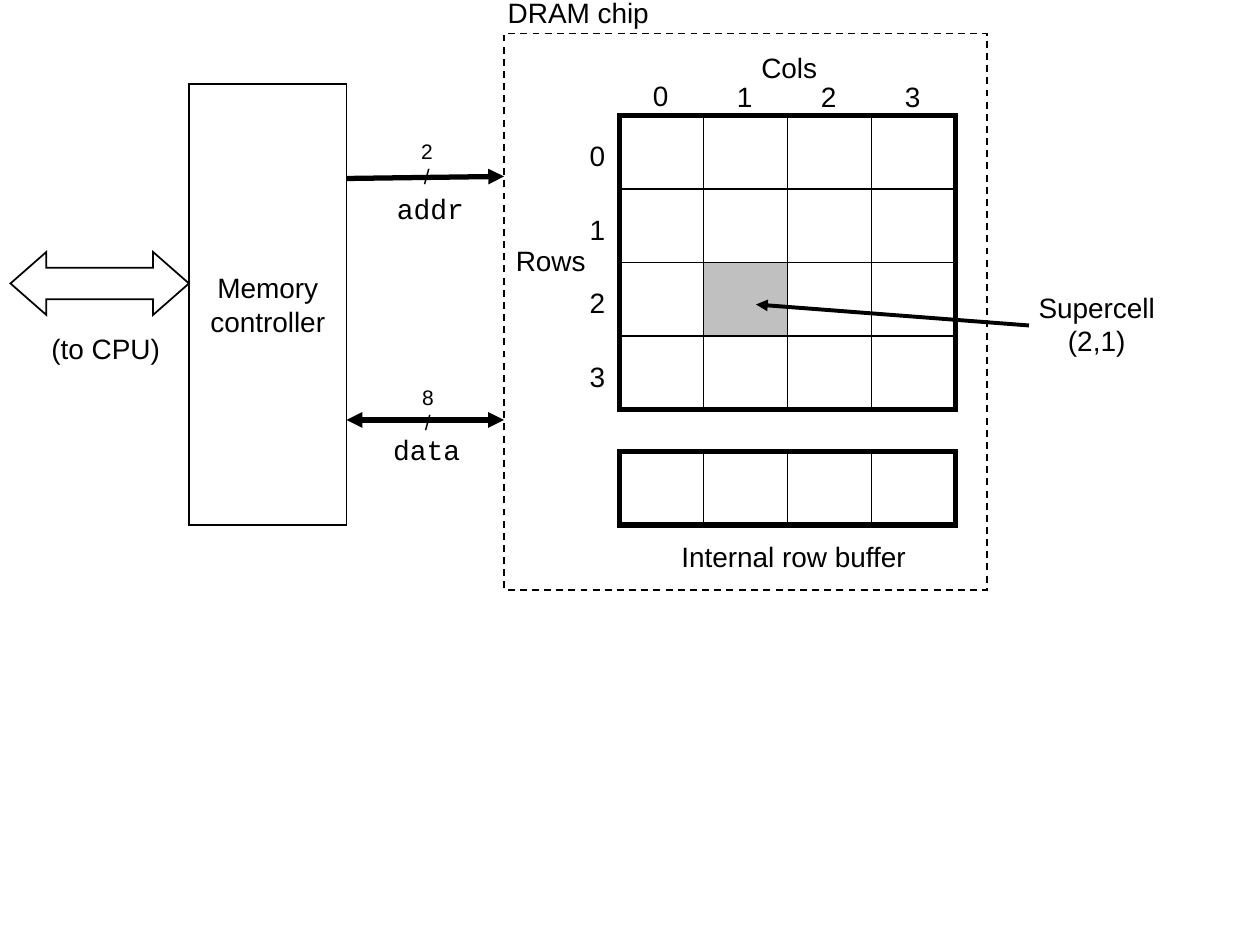
from lxml import etree
from pptx import Presentation
from pptx.dml.color import RGBColor
from pptx.enum import dml, shapes, text
from pptx.oxml.ns import qn
from pptx.util import Pt

# Content: lengths in points
BLACK, WHITE, GREY = "000000", "FFFFFF", "C0C0C0"
SANS, MONO = "Arial", "Courier New"
N = 4
CELL_W, CELL_H = 48, 42
GRID_X, GRID_Y, BUFFER_Y = 354, 66, 258
SUPERCELL = (2, 1)

# lines, (left, top, width, height), font, size
LABELS = [
    (["Cols"], (426, 25.2, 50, 26.6), SANS, 16),
    (["Rows"], (286.7, 135.4, 56, 26.6), SANS, 16),
    (["Internal row buffer"], (381, 304.6, 145, 26.6), SANS, 16),
    (["DRAM chip"], (282, -6, 97, 26.6), SANS, 16),
    (["addr"], (219, 105.8, 54, 26.6), MONO, 16),
    (["data"], (216.8, 243.4, 54, 26.6), MONO, 16),
    (["Supercell", "(2,1)"], (583.7, 162, 86, 46.1), SANS, 16),
    (["2", "/"], (233.4, 75.6, 21, 36), SANS, 12),
    (["8", "/"], (234, 216, 21, 36), SANS, 12),
    (["(to CPU)"], (20.9, 185.8, 79, 26.6), SANS, 16),
]
# from, to, width, arrowheads
ARROWS = [
    ((198, 102), (288, 100.8), 3, ["tailEnd"]),
    ((198, 240), (288, 240), 3, ["headEnd", "tailEnd"]),
    ((588, 186), (432, 174), 2.25, ["tailEnd"]),
]

prs = Presentation()
prs.slide_width, prs.slide_height = Pt(720), Pt(540)
s = prs.slides.add_slide(prs.slide_layouts[6])


def color(hex_code):
    return RGBColor.from_string(hex_code)


def write(sp, lines, font=SANS, size=16):
    tf = sp.text_frame
    tf.word_wrap = False
    tf.vertical_anchor = text.MSO_ANCHOR.MIDDLE
    for i, line in enumerate(lines):
        p = tf.paragraphs[0] if i == 0 else tf.add_paragraph()
        p.alignment = text.PP_ALIGN.CENTER
        r = p.add_run()
        r.text = line
        r.font.name, r.font.size = font, Pt(size)
        r.font.color.rgb = color(BLACK)


def label(lines, box, font=SANS, size=16):
    sp = s.shapes.add_textbox(*map(Pt, box))
    write(sp, lines, font, size)
    sp.text_frame.auto_size = text.MSO_AUTO_SIZE.SHAPE_TO_FIT_TEXT


def block(box, fill=WHITE, line=1, kind=shapes.MSO_SHAPE.RECTANGLE):
    sp = s.shapes.add_shape(kind, *map(Pt, box))
    sp.shadow.inherit = False
    if fill:
        sp.fill.solid()
        sp.fill.fore_color.rgb = color(fill)
    else:
        sp.fill.background()
    sp.line.color.rgb = color(BLACK)
    sp.line.width = Pt(line)
    # Square corners
    etree.SubElement(sp.line._get_or_add_ln(), qn("a:miter"), lim="800000")
    return sp


def arrow(start, end, width, heads):
    c = s.shapes.add_connector(shapes.MSO_CONNECTOR.STRAIGHT, *map(Pt, start + end))
    c.line.color.rgb = color(BLACK)
    c.line.width = Pt(width)
    for head in heads:
        etree.SubElement(c.line._get_or_add_ln(), qn("a:" + head), type="triangle")
    etree.SubElement(c._element.spPr, qn("a:effectLst"))


def cell_grid(top, rows, shaded=None):
    for row in range(rows):
        for col in range(N):
            box = (GRID_X + col * CELL_W, top + row * CELL_H, CELL_W, CELL_H)
            block(box, GREY if (row, col) == shaded else WHITE)
    block((GRID_X, top, N * CELL_W, rows * CELL_H), None, 3)


# Supercell array and row buffer
cell_grid(GRID_Y, N, SUPERCELL)
cell_grid(BUFFER_Y, 1)

# Column and row numbers
for i in range(N):
    label([str(i)], (366 + i * CELL_W, 41 if i == 0 else 42, 23, 26.6))
    label([str(i)], (329.8, 75.6 + i * CELL_H, 23, 26.6))

# Chip outline
chip = block((288, 19.2, 276, 318), None)
chip.line.dash_style = dml.MSO_LINE.DASH

# Memory controller and CPU bus
write(block((108, 48, 90, 252)), ["Memory", "controller"])
bus = block((6, 144, 102, 36), kind=shapes.MSO_SHAPE.LEFT_RIGHT_ARROW)
bus.adjustments[0], bus.adjustments[1] = 0.5, 0.57

# Signals and labels
for item in ARROWS:
    arrow(*item)
for item in LABELS:
    label(*item)

prs.save("out.pptx")
